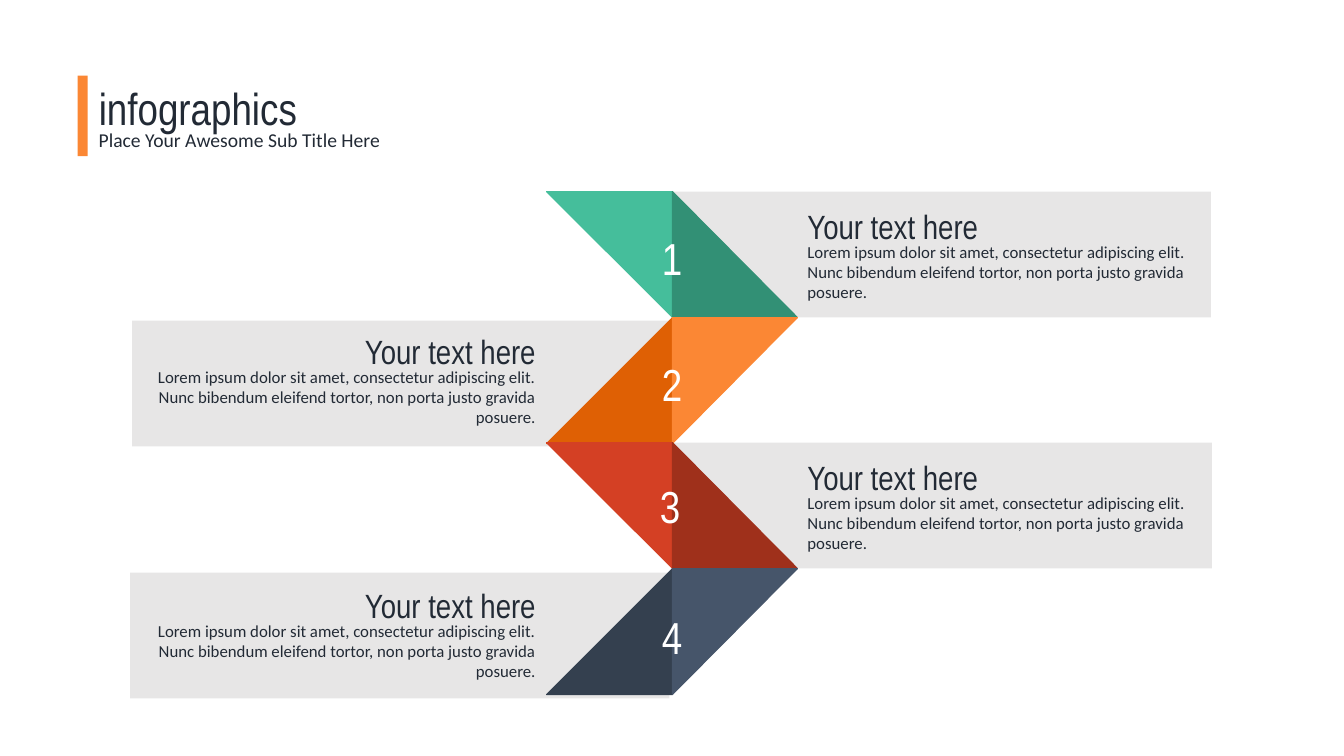
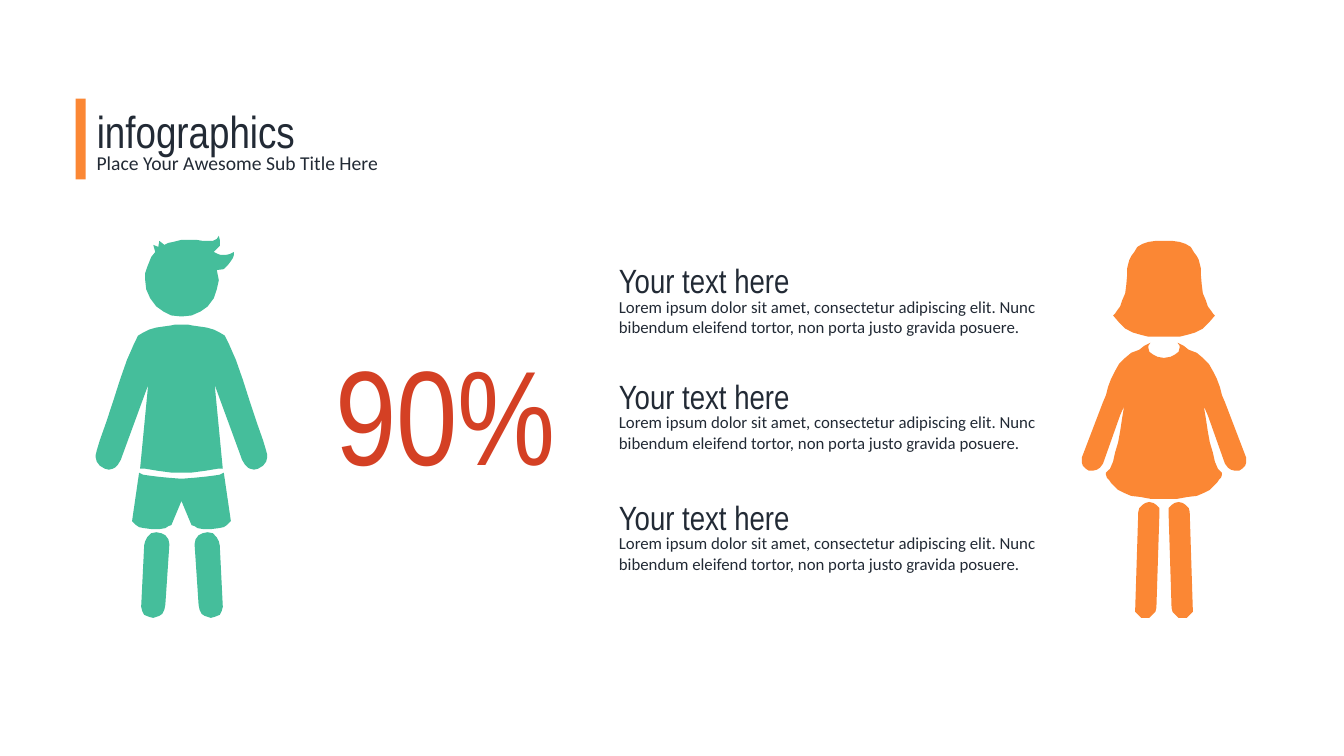
from pptx import Presentation
from pptx.dml.color import RGBColor
from pptx.enum.shapes import MSO_SHAPE
from pptx.enum.text import MSO_ANCHOR, MSO_AUTO_SIZE, PP_ALIGN
from pptx.util import Emu, Pt

PX = 9144
LEFT, CENTER, RIGHT = PP_ALIGN.LEFT, PP_ALIGN.CENTER, PP_ALIGN.RIGHT
RECTANGLE = MSO_SHAPE.RECTANGLE
TOP = MSO_ANCHOR.TOP
GROW = MSO_AUTO_SIZE.SHAPE_TO_FIT_TEXT

DISPLAY, BODY = "Arial Narrow", "Calibri"
INK, WHITE, PANEL = "222A35", "FFFFFF", "E7E6E6"
GREEN, ORANGE, RED = "45BE9B", "FB8734", "D44024"
HEADING = "Your text here"
LOREM = ("Lorem ipsum dolor sit amet, consectetur adipiscing elit. "
         "Nunc bibendum eleifend tortor, non porta justo gravida posuere.")

RIBBON_LEFT, RIBBON_FOLD, RIBBON_RIGHT = 542, 667, 791
RIBBON_TOP, RIBBON_STEP, RIBBON_HEIGHT = 190, 124.67, 125
STEPS = [
    {"colors": (GREEN, "329075"), "panel": (666, 190), "text_top": 199, "number": (622, 224)},
    {"colors": ("DF6004", ORANGE), "panel": (131, 318), "text_top": 323, "number": (622, 349)},
    {"colors": (RED, "9F301B"), "panel": (667, 439), "text_top": 448, "number": (620, 470)},
    {"colors": ("34404F", "46556A"), "panel": (129, 568), "text_top": 575, "number": (622, 600)},
]

BOY_AXIS, BOY_LEG_AXIS, GIRL_AXIS = 180, 180.5, 1154.5
BOY_HEAD = [
    (217, 234), (218, 238), (218, 244), (215, 247), (212, 250), (216, 252), (219, 253),
    (224, 253), (228, 252), (232, 250), (232, 253), (231, 256), (229, 259), (226, 263),
    (222, 267), (215, 268), (217, 278), (215, 287), (212, 296), (206, 304), (199, 309),
    (190, 313), (180, 314), (170, 313), (162, 309), (155, 304), (149, 296), (145, 287),
    (144, 278), (144, 271), (146, 265), (148, 260), (150, 255), (154, 250), (152, 243),
    (157, 245), (158, 239), (163, 243), (167, 241), (172, 240), (180, 238), (188, 238),
    (195, 238), (201, 239), (206, 239), (211, 239), (215, 237)]
BOY_SHIRT_HALF = [
    (180, 322), (186, 322), (191, 323), (198, 324), (205, 325), (212, 327), (218, 330),
    (223, 333), (227, 341), (230, 348), (234, 357), (241, 377), (248, 399), (255, 420),
    (261, 437), (264, 447), (265, 451), (265, 454), (264, 458), (261, 462), (256, 465),
    (252, 466), (248, 465), (246, 464), (243, 461), (240, 456), (239, 453), (213, 382),
    (221, 465), (216, 465), (204, 467), (189, 469), (180, 469)]
BOY_SHORTS_HALF = [
    (180, 475), (193, 474), (203, 473), (211, 472), (218, 471), (222, 469), (229, 517),
    (227, 519), (225, 521), (222, 523), (217, 524), (209, 525), (202, 525), (196, 524),
    (193, 522), (190, 521), (180, 497)]
BOY_LEG = [
    (155, 528), (160, 529), (164, 531), (167, 535), (168, 540), (164, 600), (163, 605),
    (161, 609), (158, 611), (152, 613), (148, 612), (143, 610), (141, 606), (140, 602),
    (143, 541), (144, 537), (146, 533), (150, 529)]
GIRL_HAIR_HALF = [
    (1155, 239), (1163, 239), (1170, 240), (1176, 242), (1181, 245), (1184, 250),
    (1187, 254), (1189, 258), (1190, 262), (1191, 266), (1191, 272), (1192, 283),
    (1193, 291), (1196, 298), (1198, 304), (1201, 308), (1203, 311), (1205, 313),
    (1199, 320), (1193, 326), (1185, 330), (1178, 332), (1170, 334), (1155, 334)]
GIRL_DRESS_HALF = [
    (1155, 355), (1161, 354), (1165, 352), (1169, 349), (1170, 345), (1170, 343),
    (1168, 340), (1174, 343), (1179, 347), (1187, 350), (1193, 355), (1199, 361),
    (1203, 368), (1207, 376), (1210, 384), (1212, 392), (1215, 399), (1236, 454),
    (1236, 459), (1235, 462), (1232, 465), (1229, 467), (1225, 467), (1221, 466),
    (1218, 464), (1215, 460), (1198, 412), (1194, 403), (1196, 415), (1198, 428),
    (1200, 439), (1203, 449), (1205, 458), (1208, 465), (1212, 469), (1212, 471),
    (1211, 474), (1209, 476), (1207, 479), (1204, 482), (1200, 486), (1194, 489),
    (1187, 492), (1178, 493), (1167, 495), (1155, 495)]
GIRL_LEG = [
    (1140, 498), (1144, 499), (1147, 501), (1150, 504), (1150, 508), (1147, 603),
    (1146, 607), (1143, 610), (1140, 613), (1136, 613), (1132, 613), (1129, 610),
    (1126, 607), (1126, 603), (1129, 508), (1130, 504), (1133, 501), (1136, 499)]


def px(length):
    """Turn pixels into EMU."""
    return Emu(round(length * PX))


def color(hex_text):
    """Turn a hex string into a colour."""
    return RGBColor.from_string(hex_text)


def paint(shape, fill):
    """Give a shape a flat fill without outline or shadow."""
    shape.shadow.inherit = False
    shape.fill.solid()
    shape.fill.fore_color.rgb = color(fill)
    shape.line.fill.background()


def add_box(page, left, top, width, height, fill):
    """Add a plain rectangle."""
    box = page.shapes.add_shape(RECTANGLE, px(left), px(top), px(width), px(height))
    paint(box, fill)


def add_polygon(shapes, points, fill):
    """Add a closed outline through the points."""
    builder = shapes.build_freeform(*points[0], scale=PX)
    builder.add_line_segments(points[1:], close=True)
    polygon = builder.convert_to_shape()
    paint(polygon, fill)
    return polygon


def write(shape, text, size, font, ink, align):
    """Put one formatted paragraph into a shape."""
    frame = shape.text_frame
    frame.text = text
    frame.word_wrap = True
    frame.auto_size = GROW
    frame.vertical_anchor = TOP
    para = frame.paragraphs[0]
    para.alignment = align
    span = para.runs[0]
    span.font.size = Pt(size)
    span.font.name = font
    span.font.color.rgb = color(ink)


def add_text(page, left, top, width, height, text, size, font=DISPLAY, ink=INK, align=LEFT):
    """Add a wrapped text box."""
    box = page.shapes.add_textbox(px(left), px(top), px(width), px(height))
    write(box, text, size, font, ink, align)


def add_text_block(page, left, top, width, body_height, align=LEFT):
    """Add a heading with its body text below."""
    add_text(page, left, top + 36, width, body_height, LOREM, 12, BODY, align=align)
    add_text(page, left, top, width, 50, HEADING, 24, align=align)


def add_page(deck, left, top):
    """Add a slide with title, subtitle and accent bar."""
    page = deck.slides.add_slide(deck.slide_layouts[5])
    title = page.shapes.title
    title.left, title.top, title.width, title.height = px(left), px(top), px(431), px(64)
    write(title, "infographics", 32, DISPLAY, INK, LEFT)
    add_text(page, left, top + 47, 431, 34, "Place Your Awesome Sub Title Here", 14, BODY)
    add_box(page, left - 11, top, 10, 80, ORANGE)
    return page


def mirror(points, axis):
    """Reflect points across a vertical axis, in reverse order."""
    return [(2 * axis - x, y) for x, y in reversed(points)]


def symmetric(half, axis):
    """Complete a right half into a whole outline."""
    return half + mirror(half, axis)


def add_figure(page, outlines, fill):
    """Add a grouped figure made of outlines."""
    group = page.shapes.add_group_shape()
    for outline in outlines:
        add_polygon(group.shapes, outline, fill)


def add_ribbon_fold(page, index, colors):
    """Add the two triangles of one ribbon step."""
    top = RIBBON_TOP + round(index * RIBBON_STEP)
    bottom = top + RIBBON_HEIGHT
    fold = [(RIBBON_FOLD, top), (RIBBON_FOLD, bottom)]
    left_y, right_y = (bottom, top) if index % 2 else (top, bottom)
    group = page.shapes.add_group_shape()
    for corner, fill in zip([(RIBBON_LEFT, left_y), (RIBBON_RIGHT, right_y)], colors):
        triangle = add_polygon(group.shapes, fold + [corner], fill)
        triangle.line.color.rgb = color(fill)
        triangle.line.width = Pt(0)


def build_ribbon_page(deck):
    """Build the four-step zigzag ribbon."""
    page = add_page(deck, 88, 75)
    for step in STEPS:
        add_box(page, *step["panel"], 535, 125, PANEL)
    for index, step in enumerate(STEPS):
        add_ribbon_fold(page, index, step["colors"])
    for index, step in enumerate(STEPS):
        left, align = (132, RIGHT) if index % 2 else (791, LEFT)
        add_text_block(page, left, step["text_top"], 409, 71, align)
        add_text(page, *step["number"], 89, 64, str(index + 1), 32, ink=WHITE, align=CENTER)


def build_people_page(deck):
    """Build the boy and girl with a percentage and three texts."""
    page = add_page(deck, 86, 98)
    add_figure(page, [
        symmetric(BOY_SHIRT_HALF, BOY_AXIS), BOY_HEAD,
        symmetric(BOY_SHORTS_HALF, BOY_AXIS),
        BOY_LEG, mirror(BOY_LEG, BOY_LEG_AXIS)], GREEN)
    add_figure(page, [
        symmetric(GIRL_HAIR_HALF, GIRL_AXIS),
        GIRL_LEG, mirror(GIRL_LEG, GIRL_AXIS),
        symmetric(GIRL_DRESS_HALF, GIRL_AXIS)], ORANGE)
    for top in (253, 368, 488):
        add_text_block(page, 604, top, 467, 50)
    add_text(page, 312, 324, 260, 172, "90%", 96, ink=RED, align=CENTER)


def main():
    """Build and save the deck."""
    deck = Presentation()
    deck.slide_width, deck.slide_height = px(1333), px(750)
    build_ribbon_page(deck)
    build_people_page(deck)
    deck.save("out.pptx")


if __name__ == "__main__":
    main()
